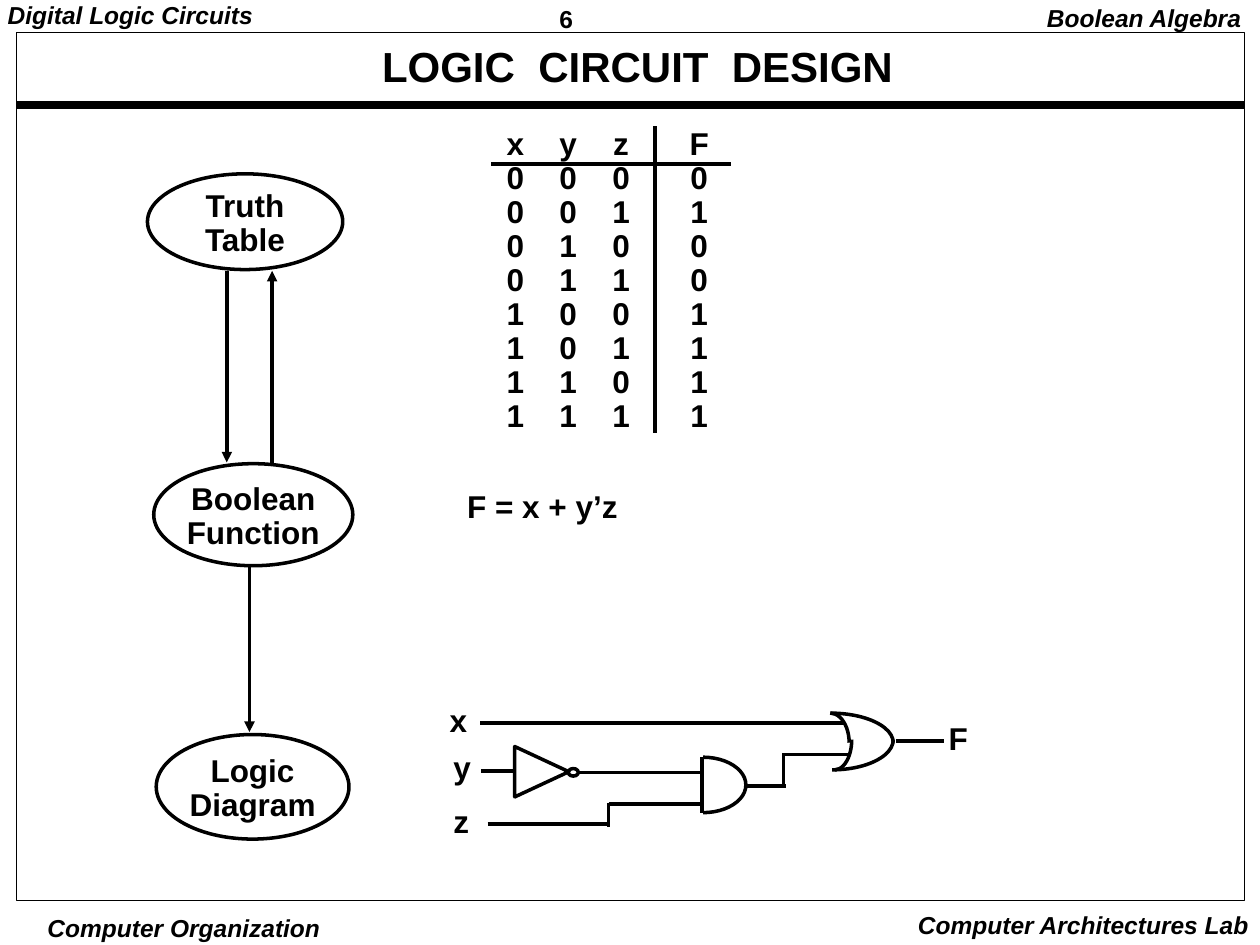
from pptx import Presentation
from pptx import util as u
from pptx.dml.color import RGBColor
from pptx.enum import shapes, text
from pptx.oxml.ns import qn
from lxml import etree

COLORS = {"ink": "000000"}
FONT = "Arial"
LEFT, CENTER, RIGHT = text.PP_ALIGN.LEFT, text.PP_ALIGN.CENTER, text.PP_ALIGN.RIGHT

TITLE = "LOGIC  CIRCUIT  DESIGN"
MARGIN_TEXTS = [
    ("6", (4.37, 0, 1.08, 0.29), (0.07, 0.03), LEFT, 1.0, False),
    ("Digital Logic Circuits", (-0.01, 0, 2.15, 0.48), (0.07, 0.03), LEFT, 0.9, True),
    ("Computer Organization", (0.26, 7.24, 2.4, 0.26), (0.03, 0.01), CENTER, 1.0, True),
    ("Computer Architectures Lab", (7.11, 7.17, 2.9, 0.33), (0.1, 0.05), RIGHT, 1.0, True),
    ("Boolean Algebra", (8.2, 0, 1.75, 0.31), (0.1, 0.05), RIGHT, 0.9, True),
]
TRUTH_TABLE = [
    "xyzF",
    "0000", "0011", "0100", "0110",
    "1001", "1011", "1101", "1111",
]
TABLE_LEFT, TABLE_TOP, ROW_HEIGHT = 3.88, 1.02, 0.27
COLUMN_WIDTHS = [0.42, 0.42, 0.42, 0.82]
TABLE_RULES = [(3.9, 1.3, 5.8, 1.3), (5.2, 1, 5.2, 3.44)]

LABELS = [
    ("F = x + y’z", (3.61, 3.85, 1.6, 0.37)),
    ("x", (3.47, 5.55, 0.34, 0.37)),
    ("y", (3.5, 5.92, 0.34, 0.37)),
    ("z", (3.5, 6.35, 0.32, 0.37)),
    ("F", (7.43, 5.69, 0.35, 0.37)),
]
STAGES = [
    (["Truth", "Table"], (1.17, 1.38, 1.55, 0.76)),
    (["Boolean", "Function"], (1.22, 3.68, 1.58, 0.81)),
    (["Logic", "Diagram"], (1.24, 5.83, 1.53, 0.83)),
]
ARROWS = [(1.8, 2.15, 1.8, 3.67), (2.16, 3.69, 2.16, 2.15), (1.98, 4.49, 1.98, 5.81)]

WIRES = [
    (3.81, 5.74, 6.71, 5.74),
    (3.82, 6.12, 4.08, 6.12),
    (4.59, 6.13, 5.57, 6.13),
    (3.87, 6.54, 4.84, 6.54),
    (4.83, 6.37, 4.83, 6.56),
    (4.83, 6.38, 5.57, 6.38),
    (5.91, 6.24, 6.24, 6.24),
    (6.22, 5.98, 6.22, 6.25),
    (6.21, 5.99, 6.75, 5.99),
    (7.11, 5.88, 7.49, 5.88),
]
AND_GATE_BACK = (5.57, 6.01, 5.57, 6.45)
GATE_ARCS = [
    ((5.24, 6.01, 0.68, 0.44), 270, 90),
    ((6.12, 5.63, 0.97, 0.48), 0, 90),
    ((6.09, 5.66, 1.0, 0.47), 270, 0),
    ((6.44, 5.66, 0.3, 0.47), 270, 0),
    ((6.49, 5.63, 0.27, 0.48), 0, 90),
]
ARC_UNITS_PER_DEGREE = 0.6


def inches(values):
    return [u.Inches(value) for value in values]


def ink():
    return RGBColor.from_string(COLORS["ink"])


def write(frame, lines, size, align, spacing=0.9, italic=False):
    frame.text = "\n".join(lines)
    for paragraph in frame.paragraphs:
        paragraph.alignment = align
        paragraph.line_spacing = spacing
        paragraph.space_before = paragraph.space_after = u.Pt(0)
        font = paragraph.font
        font.name, font.size, font.bold, font.italic = FONT, u.Pt(size), True, italic
        font.color.rgb = ink()


def set_margins(target, horizontal, vertical):
    target.margin_left = target.margin_right = u.Inches(horizontal)
    target.margin_top = target.margin_bottom = u.Inches(vertical)


def add_text(slide, line, box, size, margins=(0.1, 0.05), align=LEFT, spacing=0.9, italic=False):
    frame = slide.shapes.add_textbox(*inches(box)).text_frame
    set_margins(frame, *margins)
    frame.word_wrap = False
    frame.auto_size = text.MSO_AUTO_SIZE.SHAPE_TO_FIT_TEXT
    write(frame, [line], size, align, spacing, italic)


def add_line(slide, ends, width=2.0, arrow=False):
    line = slide.shapes.add_connector(shapes.MSO_CONNECTOR.STRAIGHT, *inches(ends))
    line.line.color.rgb = ink()
    line.line.width = u.Pt(width)
    properties = line._element.spPr
    if arrow:
        etree.SubElement(properties.find(qn("a:ln")), qn("a:tailEnd"), type="triangle")
    etree.SubElement(properties, qn("a:effectLst"))


def add_outline(slide, kind, box, width=2.0):
    shape = slide.shapes.add_shape(kind, *inches(box))
    shape.shadow.inherit = False
    shape.fill.background()
    shape.line.color.rgb = ink()
    shape.line.width = u.Pt(width)
    return shape


def add_title(slide):
    title = slide.shapes.title
    title.left, title.top, title.width, title.height = inches((0.4, 0.34, 9.32, 0.42))
    frame = title.text_frame
    set_margins(frame, 0.07, 0.03)
    frame.vertical_anchor = text.MSO_ANCHOR.MIDDLE
    write(frame, [TITLE], 24, CENTER)


def add_truth_table(slide):
    box = (TABLE_LEFT, TABLE_TOP, sum(COLUMN_WIDTHS), ROW_HEIGHT * len(TRUTH_TABLE))
    table = slide.shapes.add_table(len(TRUTH_TABLE), len(COLUMN_WIDTHS), *inches(box)).table
    table.first_row = table.horz_banding = False
    for column, width in zip(table.columns, COLUMN_WIDTHS):
        column.width = u.Inches(width)
    for row, values in zip(table.rows, TRUTH_TABLE):
        row.height = u.Inches(ROW_HEIGHT)
        for cell, value in zip(row.cells, values):
            cell.fill.background()
            set_margins(cell, 0, 0)
            cell.vertical_anchor = text.MSO_ANCHOR.MIDDLE
            write(cell.text_frame, [value], 18, CENTER)
    for ends in TABLE_RULES:
        add_line(slide, ends)


def add_flow(slide):
    for lines, box in STAGES:
        frame = add_outline(slide, shapes.MSO_SHAPE.OVAL, box).text_frame
        set_margins(frame, 0, 0)
        frame.margin_top = u.Inches(0.04)
        frame.word_wrap = False
        frame.vertical_anchor = text.MSO_ANCHOR.MIDDLE
        write(frame, lines, 18, CENTER)
    for ends in ARROWS:
        add_line(slide, ends, arrow=True)


def add_circuit(slide):
    inverter = add_outline(slide, shapes.MSO_SHAPE.ISOSCELES_TRIANGLE, (4.1, 5.91, 0.4, 0.43))
    inverter.rotation = 90
    add_outline(slide, shapes.MSO_SHAPE.OVAL, (4.51, 6.1, 0.08, 0.06))
    for box, start, end in GATE_ARCS:
        arc = add_outline(slide, shapes.MSO_SHAPE.ARC, box)
        arc.adjustments[0] = start * ARC_UNITS_PER_DEGREE
        arc.adjustments[1] = end * ARC_UNITS_PER_DEGREE
    for ends in [AND_GATE_BACK, *WIRES]:
        add_line(slide, ends)


def main():
    presentation = Presentation()
    presentation.slide_width, presentation.slide_height = inches((10, 7.5))
    slide = presentation.slides.add_slide(presentation.slide_layouts[5])
    add_line(slide, (0.13, 0.83, 9.87, 0.83), width=4.5)
    add_outline(slide, shapes.MSO_SHAPE.RECTANGLE, (0.13, 0.26, 9.75, 6.89), width=0.5)
    add_title(slide)
    for line, box, margins, align, spacing, italic in MARGIN_TEXTS:
        add_text(slide, line, box, 14, margins, align, spacing, italic)
    add_truth_table(slide)
    for line, box in LABELS:
        add_text(slide, line, box, 18)
    add_circuit(slide)
    add_flow(slide)
    presentation.save("out.pptx")


if __name__ == "__main__":
    main()
